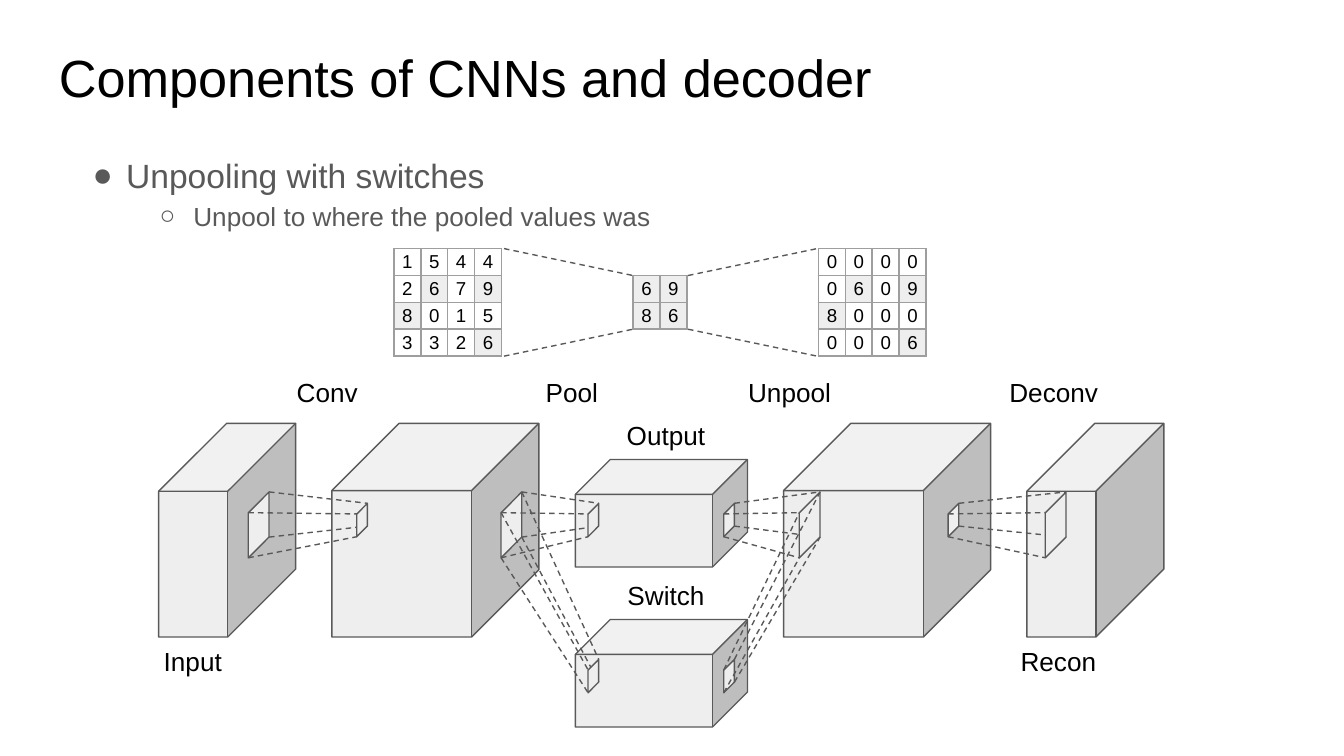
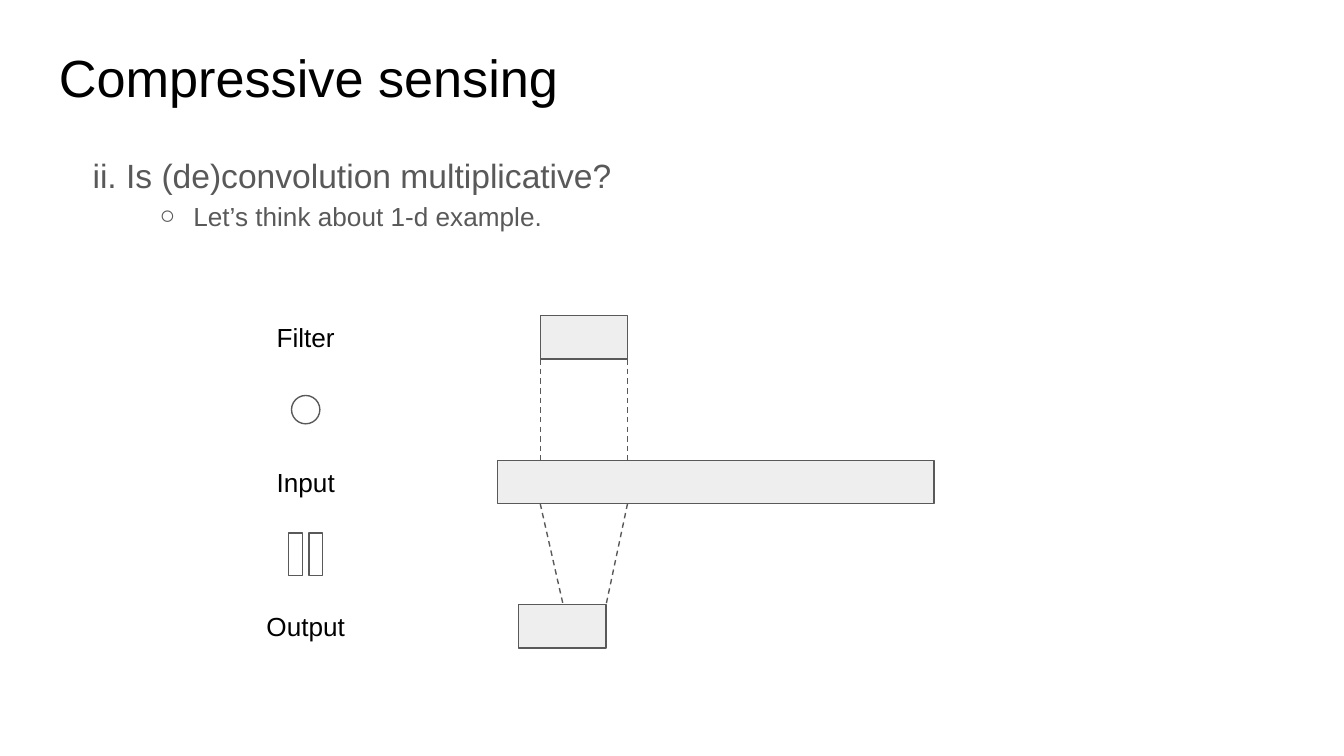
import pptx
import pptx.dml.color
import pptx.enum.dml
import pptx.enum.shapes
import pptx.enum.text
import pptx.oxml
import pptx.oxml.ns
import pptx.util
from lxml import etree

Pt = pptx.util.Pt
RGB = pptx.dml.color.RGBColor
KIND = pptx.enum.shapes.MSO_SHAPE
ALIGN = pptx.enum.text.PP_ALIGN
ANCHOR = pptx.enum.text.MSO_ANCHOR

BLACK = RGB(0x00, 0x00, 0x00)
GREY = RGB(0x59, 0x59, 0x59)
PALE = RGB(0xEE, 0xEE, 0xEE)
EDGE = RGB(0x9E, 0x9E, 0x9E)
FONT = "Arial"
CELL = 14.4

DOT = '<a:buChar %s char="●"/>'
RING = '<a:buChar %s char="○"/>'
ROMAN = '<a:buAutoNum %s type="romanLcPeriod" startAt="2"/>'


def parts(markup):
    return pptx.oxml.parse_xml(markup % pptx.oxml.ns.nsdecls("a"))


class Deck:
    """Holds the shared style and the slide being drawn."""

    def __init__(self):
        self.prs = pptx.Presentation()
        self.prs.slide_width = Pt(720)
        self.prs.slide_height = Pt(405)
        self.slide = None

    def page(self, title, mark, point, detail):
        self.slide = self.prs.slides.add_slide(self.prs.slide_layouts[6])
        frame = self.box(24.5, 17.3, 671, 45.4)
        self.style(frame.paragraphs[0], title, 28, BLACK)
        frame = self.box(24.5, 72.7, 671, 313.2)
        self.item(frame.paragraphs[0], point, 18, 0, mark)
        self.item(frame.add_paragraph(), detail, 14, 1, RING)

    def box(self, x, y, w, h):
        frame = self.slide.shapes.add_textbox(Pt(x), Pt(y), Pt(w), Pt(h)).text_frame
        frame.word_wrap = True
        frame.margin_left = frame.margin_right = Pt(7.2)
        frame.margin_top = frame.margin_bottom = Pt(7.2)
        return frame

    def style(self, para, text, size, color, align=ALIGN.LEFT):
        para.text = text
        para.alignment = align
        para.font.name = FONT
        para.font.size = Pt(size)
        para.font.color.rgb = color

    def item(self, para, text, size, level, mark):
        para.level = level
        para.line_spacing = 1.15
        props = para._p.get_or_add_pPr()
        props.set("marL", str(Pt(36 * (level + 1))))
        props.set("indent", str(-Pt(18)))
        props.append(parts(f'<a:buClr %s><a:srgbClr val="{GREY}"/></a:buClr>'))
        props.append(parts(f'<a:buFont %s typeface="{FONT}"/>'))
        props.append(parts(mark))
        self.style(para, text, size, GREY)

    def label(self, text, midx, midy):
        frame = self.box(midx - 35, midy - 13, 70, 26)
        frame.word_wrap = False
        frame.vertical_anchor = ANCHOR.MIDDLE
        self.style(frame.paragraphs[0], text, 14, BLACK, ALIGN.CENTER)

    def shape(self, kind, x, y, w, h, adjust=(), fill=PALE):
        shape = self.slide.shapes.add_shape(kind, Pt(x), Pt(y), Pt(w), Pt(h))
        shape.shadow.inherit = False
        for i, value in enumerate(adjust):
            shape.adjustments[i] = value
        if fill is None:
            shape.fill.background()
        else:
            shape.fill.solid()
            shape.fill.fore_color.rgb = fill
        shape.line.color.rgb = GREY
        shape.line.width = Pt(0.75)
        return shape

    def dash(self, start, end):
        line = self.slide.shapes.add_connector(
            pptx.enum.shapes.MSO_CONNECTOR.STRAIGHT, *map(Pt, (*start, *end)))
        line.line.color.rgb = GREY
        line.line.width = Pt(0.75)
        line.line.dash_style = pptx.enum.dml.MSO_LINE.DASH
        etree.SubElement(line.element.spPr, pptx.oxml.ns.qn("a:effectLst"))

    def grid(self, x, y, rows, shaded):
        count = len(rows)
        table = self.slide.shapes.add_table(
            count, count, Pt(x), Pt(y), Pt(CELL * count), Pt(CELL * count)).table
        table.first_row = table.horz_banding = False
        for r, row in enumerate(rows):
            table.rows[r].height = table.columns[r].width = Pt(CELL)
            for c, digit in enumerate(row):
                self.cell(table.cell(r, c), digit, (r, c) in shaded)

    def cell(self, cell, digit, shaded):
        cell.margin_left = cell.margin_right = 0
        cell.margin_top = cell.margin_bottom = 0
        cell.vertical_anchor = ANCHOR.MIDDLE
        props = cell._tc.get_or_add_tcPr()
        for side in "LRTB":
            props.append(parts(
                f'<a:ln{side} %s w="{Pt(1)}"><a:solidFill><a:srgbClr val="{EDGE}"/>'
                f'</a:solidFill></a:ln{side}>'))
        if shaded:
            cell.fill.solid()
            cell.fill.fore_color.rgb = PALE
        else:
            cell.fill.background()
        self.style(cell.text_frame.paragraphs[0], digit, 10, BLACK, ALIGN.CENTER)

    def patch(self, midx, midy, tall, wide):
        """Slanted window: an upright parallelogram on a cube side."""
        shape = self.shape(KIND.PARALLELOGRAM, midx - tall / 2, midy - wide / 2,
                           tall, wide, [1.007])
        shape.rotation = 90
        shape.element.spPr.xfrm.set("flipH", "1")


def corners(midx, midy, tall, wide):
    left, right = midx - wide / 2, midx + wide / 2
    top, foot = midy - tall / 2, midy + tall / 2
    return [(left, top + wide), (right, foot - wide), (right, top), (left, foot)]


def unpool(deck):
    deck.page("Components of CNNs and decoder", DOT, "Unpooling with switches",
              "Unpool to where the pooled values was")

    # Number grids and the dashes between them
    kept = {(1, 1), (1, 3), (2, 0), (3, 3)}
    top = 133.2
    deck.grid(438.5, top, ["0000", "0609", "8000", "0006"], kept)
    deck.grid(339.1, top + CELL, ["69", "86"], {(0, 0), (0, 1), (1, 0), (1, 1)})
    deck.grid(211, top, ["1544", "2679", "8015", "3326"], kept)
    for outer, inner in ((0, 1), (4, 3)):
        far, near = top + outer * CELL, top + inner * CELL
        deck.dash((270, far), (339.1, near))
        deck.dash((368.6, near), (437.8, far))

    # Layer cubes
    thin, thick = (73.4, 114.5, 0.496), (110.9, 114.5, 0.325)
    flat = (92.2, 57.6, 0.325)
    for x, y, (w, h, depth) in (
            (85, 226.8, thin), (177.8, 226.8, thick), (419.8, 226.8, thick),
            (550.1, 226.8, thin), (308.2, 246.2, flat), (308.2, 331.9, flat)):
        deck.shape(KIND.CUBE, x, y, w, h, [depth])

    # Windows, linked corner to corner
    big, small = (35.3, 11.1), (17.9, 5.7)
    spots = {
        "input": (138.6, 281.2, *big), "conv": (194, 278.6, *small),
        "pool": (274, 281.2, *big), "out in": (317.9, 278.6, *small),
        "switch in": (317.9, 362.2, *small), "out": (390.6, 278.6, *small),
        "switch": (390.6, 362.2, *small), "unpool": (433.8, 281.2, *big),
        "deconv": (510.8, 278.6, *small), "recon": (565.6, 281.2, *big),
    }
    links = [("input", "conv"), ("deconv", "recon"), ("pool", "out in"),
             ("pool", "switch in"), ("out", "unpool"), ("switch", "unpool")]
    drawn = set()

    def place(name):
        if name not in drawn:
            deck.patch(*spots[name])
            drawn.add(name)

    for start, end in links:
        place(start)
        for pair in zip(corners(*spots[start]), corners(*spots[end])):
            deck.dash(*pair)
        place(end)

    # Labels, by their centres
    for text, x, y in (
            ("Conv", 175.3, 210.3), ("Pool", 306.4, 210.3),
            ("Unpool", 423, 210.3), ("Deconv", 564.5, 210.3),
            ("Input", 103.3, 354.2), ("Recon", 567, 354.2),
            ("Output", 356.8, 233.3), ("Switch", 356.8, 319)):
        deck.label(text, x, y)


def sensing(deck):
    deck.page("Compressive sensing", ROMAN, "Is (de)convolution multiplicative?",
              "Let’s think about 1-d example.")
    first, step, half = 180.8, 77.4, 11.6
    rows = [first + i * step for i in range(3)]
    midx = 163.8

    # Dashes from filter through input to output
    for x, end in ((289.4, 301.7), (336.2, 324.7)):
        deck.dash((x, rows[0] + half), (x, rows[1] - half))
        deck.dash((x, rows[1] + half), (end, rows[2] - half))

    # Labelled bars
    bars = (("Filter", 289.4, 46.8), ("Input", 266.4, 234), ("Output", 277.9, 46.8))
    for y, (text, x, w) in zip(rows, bars):
        deck.label(text, midx, y)
        deck.shape(KIND.RECTANGLE, x, y - half, w, 2 * half)

    # Operator signs midway between the rows
    sign = first + step / 2
    deck.shape(KIND.OVAL, midx - 7.6, sign - 7.6, 15.2, 15.2, fill=None)
    sign += step
    equal = deck.shape(KIND.MATH_EQUAL, midx - 15.5, sign - 15.5, 31, 31,
                       [0.235, 0.118], None)
    equal.rotation = 90


def main():
    deck = Deck()
    unpool(deck)
    sensing(deck)
    deck.prs.save("out.pptx")


if __name__ == "__main__":
    main()
